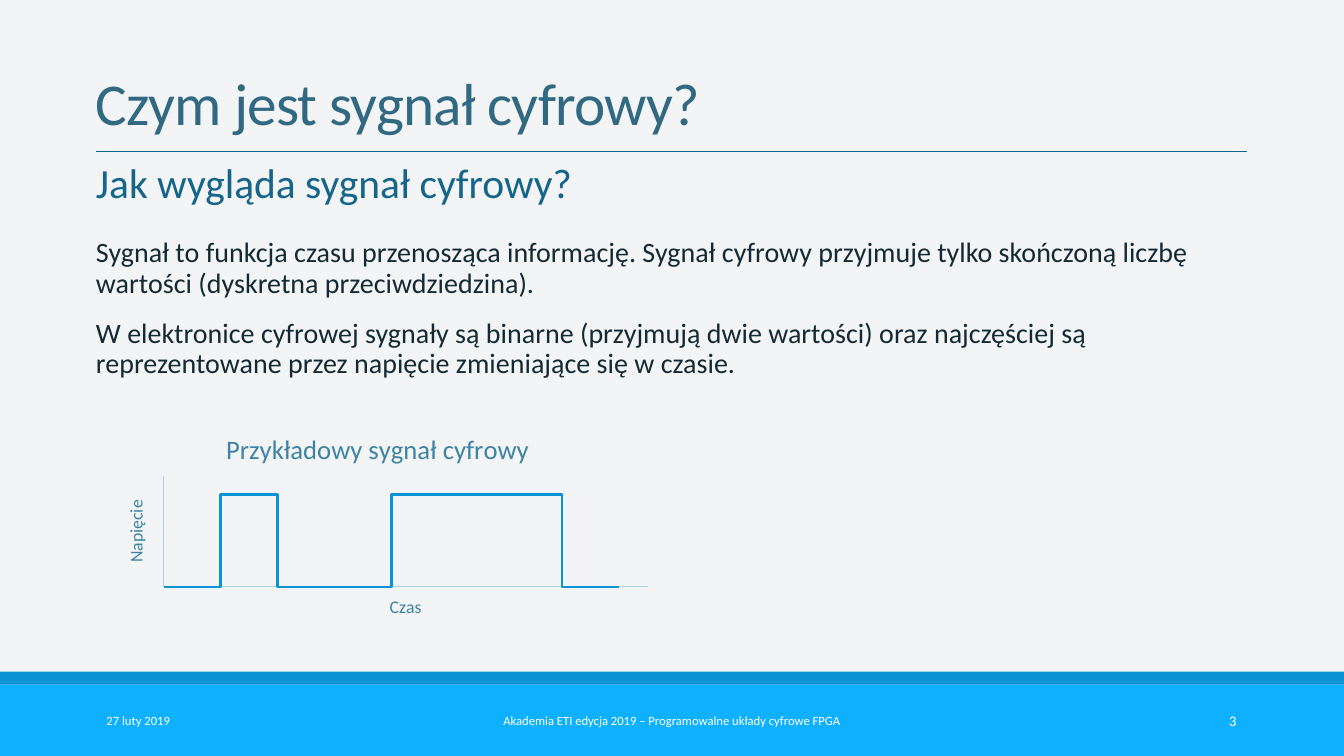
from dataclasses import dataclass

from lxml import etree
from pptx import Presentation
from pptx import util as u
from pptx.chart import data as cd
from pptx.dml.color import RGBColor
from pptx.enum import chart as ch, shapes, text
from pptx.oxml import ns


@dataclass(frozen=True)
class Theme:
    font: str = "Calibri"
    back: str = "F2F4F5"
    band: str = "0FB1FF"
    strip: str = "0A94D6"
    rule: str = "15648A"
    title: str = "316983"
    body: str = "132933"
    label: str = "3D83A3"
    axis: str = "AFD1E1"
    white: str = "FFFFFF"
    big: float = 40
    head: float = 28
    main: float = 18.9
    chart: float = 18
    small: float = 12
    page: float = 9.9
    foot: float = 8.5


@dataclass(frozen=True)
class Box:
    x: float
    y: float
    w: float
    h: float

    def place(self) -> tuple:
        return tuple(u.Inches(v) for v in (self.x, self.y, self.w, self.h))


@dataclass(frozen=True)
class Note:
    box: Box
    lines: tuple
    size: float
    color: str
    align: text.PP_ALIGN = text.PP_ALIGN.LEFT
    foot: bool = False


T = Theme()
LEFT, WIDE = 0.9, 10.79
FOOT_Y, FOOT_H = 6.42, 0.67

BANDS = (
    (Box(0, FOOT_Y, 12.6, FOOT_H), T.band),
    (Box(0, 6.3, 12.6, 0.12), T.strip),
)
NOTES = (
    Note(Box(LEFT, 1.53, WIDE, 0.47), ("Jak wygląda sygnał cyfrowy?",), T.head, T.rule),
    Note(Box(LEFT, 2.24, WIDE, 1.5), (
        "Sygnał to funkcja czasu przenosząca informację. Sygnał cyfrowy przyjmuje "
        "tylko skończoną liczbę wartości (dyskretna przeciwdziedzina).",
        "W elektronice cyfrowej sygnały są binarne (przyjmują dwie wartości) oraz "
        "najczęściej są reprezentowane przez napięcie zmieniające się w czasie.",
    ), T.main, T.body),
    Note(Box(LEFT, FOOT_Y, 2.52, FOOT_H), ("27 luty 2019",), T.foot, T.white, foot=True),
    Note(Box(3.66, FOOT_Y, 5.28, FOOT_H),
         ("Akademia ETI edycja 2019 – Programowalne układy cyfrowe FPGA",),
         T.foot, T.white, text.PP_ALIGN.CENTER, True),
    Note(Box(9.17, FOOT_Y, 2.52, FOOT_H), ("3",), T.page, T.white,
         text.PP_ALIGN.RIGHT, True),
)
TIMES = (0, 1, 1, 2, 2, 3, 4, 4, 5, 7, 7, 8)
LEVELS = (0, 0, 100, 100, 0, 0, 0, 100, 100, 100, 0, 0)


def rgb(code: str) -> RGBColor:
    return RGBColor.from_string(code)


def style(font, size: float, color: str) -> None:
    font.name = T.font
    font.size = u.Pt(size)
    font.bold = False
    font.color.rgb = rgb(color)


def trim(frame) -> None:
    frame.margin_left = frame.margin_right = 0
    frame.margin_top = frame.margin_bottom = 0


def add_band(slide, box: Box, color: str) -> None:
    band = slide.shapes.add_shape(shapes.MSO_SHAPE.RECTANGLE, *box.place())
    band.shadow.inherit = False
    band.fill.solid()
    band.fill.fore_color.rgb = rgb(color)
    band.line.fill.background()


def add_rule(slide, y: float) -> None:
    rule = slide.shapes.add_connector(
        shapes.MSO_CONNECTOR.STRAIGHT, u.Inches(LEFT), u.Inches(y),
        u.Inches(LEFT + WIDE), u.Inches(y))
    rule.line.color.rgb = rgb(T.rule)
    rule.line.width = u.Pt(1)
    etree.SubElement(rule._element.spPr, ns.qn("a:effectLst"))


def set_title(slide, box: Box, words: str) -> None:
    title = slide.shapes.title
    title.left, title.top, title.width, title.height = box.place()
    frame = title.text_frame
    frame.text = words
    frame.vertical_anchor = text.MSO_ANCHOR.BOTTOM
    trim(frame)
    para = frame.paragraphs[0]
    para.alignment = text.PP_ALIGN.LEFT
    run = para.runs[0]
    style(run.font, T.big, T.title)
    run._r.get_or_add_rPr().set("spc", "-50")


def add_note(slide, note: Note) -> None:
    frame = slide.shapes.add_textbox(*note.box.place()).text_frame
    frame.word_wrap = True
    frame.text = "\n".join(note.lines)
    if note.foot:
        frame.vertical_anchor = text.MSO_ANCHOR.MIDDLE
    else:
        trim(frame)
    for para in frame.paragraphs:
        para.alignment = note.align
        if not note.foot:
            para.line_spacing = 0.9
            para.space_before, para.space_after = u.Pt(11.3), u.Pt(1.9)
        for run in para.runs:
            style(run.font, note.size, note.color)


def label(frame, words: str, size: float) -> None:
    frame.text = words
    style(frame.paragraphs[0].runs[0].font, size, T.label)


def set_axis(axis, words: str, top: float) -> None:
    axis.minimum_scale, axis.maximum_scale = 0, top
    axis.has_major_gridlines = axis.has_minor_gridlines = False
    axis.major_tick_mark = axis.minor_tick_mark = ch.XL_TICK_MARK.NONE
    axis.tick_label_position = ch.XL_TICK_LABEL_POSITION.NONE
    axis.format.line.color.rgb = rgb(T.axis)
    axis.format.line.width = u.Pt(0.75)
    label(axis.axis_title.text_frame, words, T.small)


def set_plot(chart, box: Box) -> None:
    """Fix the inner plot area, as fractions of the chart."""
    area = chart._chartSpace.chart.plotArea
    for old in area.findall(ns.qn("c:layout")):
        area.remove(old)
    layout = etree.Element(ns.qn("c:layout"))
    manual = etree.SubElement(layout, ns.qn("c:manualLayout"))
    parts = (("layoutTarget", "inner"), ("xMode", "edge"), ("yMode", "edge"),
             ("x", box.x), ("y", box.y), ("w", box.w), ("h", box.h))
    for tag, val in parts:
        etree.SubElement(manual, ns.qn(f"c:{tag}")).set("val", str(val))
    area.insert(0, layout)


def add_signal(slide, box: Box) -> None:
    data = cd.XyChartData()
    points = data.add_series("Series 1")
    for time, level in zip(TIMES, LEVELS):
        points.add_data_point(time, level)
    chart = slide.shapes.add_chart(
        ch.XL_CHART_TYPE.XY_SCATTER_LINES_NO_MARKERS, *box.place(), data).chart
    style(chart.font, 10, T.body)
    chart.has_legend = False
    label(chart.chart_title.text_frame, "Przykładowy sygnał cyfrowy", T.chart)
    chart.chart_title.include_in_layout = False
    set_axis(chart.category_axis, "Czas", 8.5)
    set_axis(chart.value_axis, "Napięcie", 120)
    chart.value_axis.major_unit = 100
    set_plot(chart, Box(0.12, 0.26, 0.86, 0.48))
    chart.plots[0].vary_by_categories = False
    line = chart.plots[0].series[0]
    line.smooth = False
    line.marker.style = ch.XL_MARKER_STYLE.NONE
    line.format.line.color.rgb = rgb(T.strip)
    line.format.line.width = u.Pt(1.5)


def main() -> None:
    deck = Presentation()
    deck.slide_width, deck.slide_height = u.Inches(12.6), u.Inches(7.09)
    slide = deck.slides.add_slide(deck.slide_layouts.get_by_name("Title Only"))
    slide.background.fill.solid()
    slide.background.fill.fore_color.rgb = rgb(T.back)

    # Footer bands and title rule
    for box, color in BANDS:
        add_band(slide, box, color)
    add_rule(slide, 1.42)

    # Title, text and footer
    set_title(slide, Box(LEFT, 0.35, WIDE, 0.94), "Czym jest sygnał cyfrowy?")
    for note in NOTES:
        add_note(slide, note)

    # Signal chart
    add_signal(slide, Box(LEFT, 3.9, 5.28, 2.17))
    deck.save("out.pptx")


if __name__ == "__main__":
    main()
